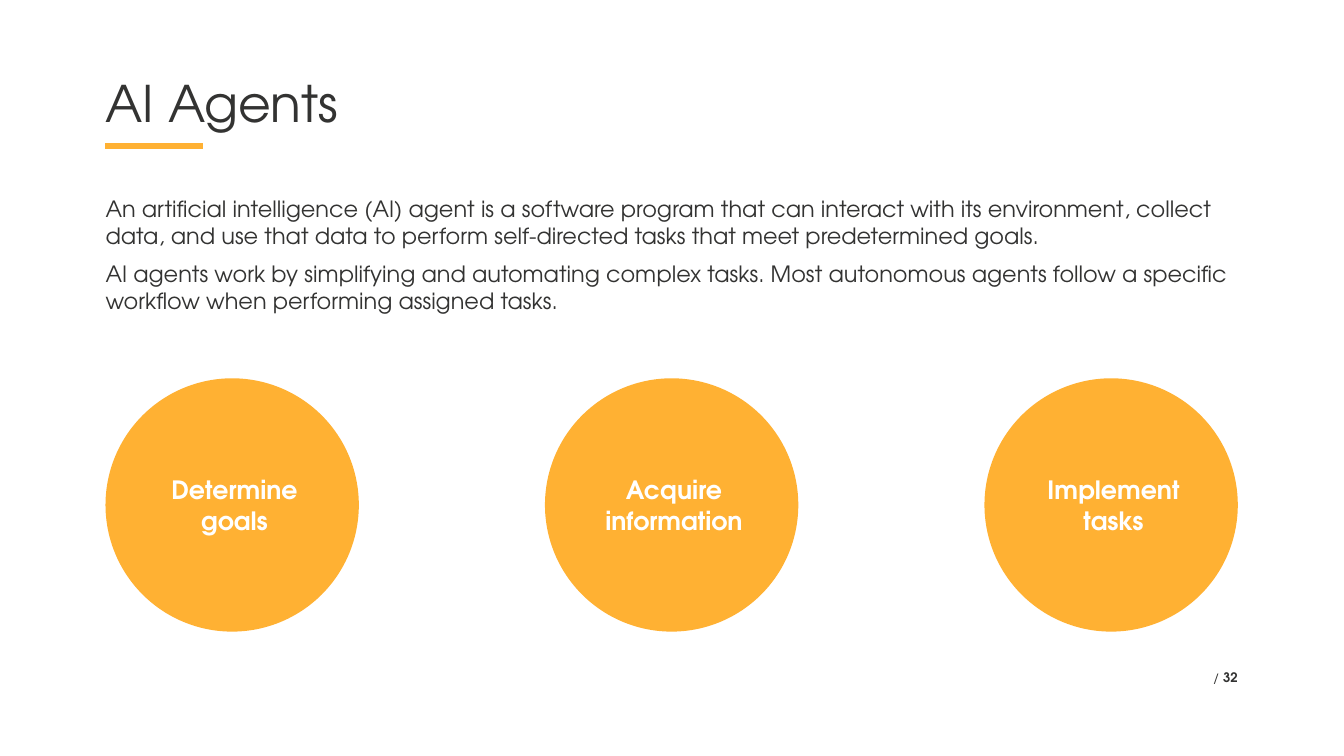
from lxml.etree import SubElement
from pptx import Presentation
from pptx.dml.color import RGBColor as RGB
from pptx.enum.shapes import MSO_CONNECTOR as Conn, MSO_SHAPE as Shape
from pptx.enum.text import MSO_ANCHOR as Anchor, PP_ALIGN as Align
from pptx.oxml.ns import qn
from pptx.util import Inches, Pt

COLORS = {"ink": "333332", "accent": "FFB133", "paper": "FFFFFF"}
FONT = "TeX Gyre Adventor"

# Shares of the slide's size, in percent
LEFT, WIDTH = 7.85, 84.25
RIGHT = LEFT + WIDTH
CIRCLE_W, CIRCLE_H = 18.85, 33.51

STEPS = ["Determine goals", "Acquire information", "Implement tasks"]
BODY = [
    "An artificial intelligence (AI) agent is a software program that can "
    "interact with its environment, collect data, and use that data to "
    "perform self-directed tasks that meet predetermined goals.",
    "AI agents work by simplifying and automating complex tasks. Most "
    "autonomous agents follow a specific workflow when performing assigned "
    "tasks.",
]


class Deck:
    """Holds the style and the current slide; lengths are percent shares."""

    def __init__(self, width, height):
        self.prs = Presentation()
        self.prs.slide_width, self.prs.slide_height = Inches(width), Inches(height)
        self.s = self.prs.slides.add_slide(self.prs.slide_layouts[5])
        fill = self.s.background.fill
        fill.solid()
        fill.fore_color.rgb = RGB.from_string(COLORS["paper"])

    def x(self, share):
        return round(self.prs.slide_width * share / 100)

    def y(self, share):
        return round(self.prs.slide_height * share / 100)

    def box(self, left, top, width, height):
        return self.x(left), self.y(top), self.x(width), self.y(height)

    def fill_text(self, tf, paragraphs, size, color="ink", insets=(0, 0, 0, 0),
                  anchor=Anchor.TOP, **para_format):
        """Each paragraph is a list of (text, bold) runs."""
        sides = ("left", "top", "right", "bottom")
        frame = {f"margin_{k}": Inches(v) for k, v in zip(sides, insets)}
        frame.update(word_wrap=True, vertical_anchor=anchor)
        for name, value in frame.items():
            setattr(tf, name, value)
        for i, runs in enumerate(paragraphs):
            p = tf.paragraphs[0] if i == 0 else tf.add_paragraph()
            for name, value in para_format.items():
                setattr(p, name, value)
            for text, bold in runs:
                r = p.add_run()
                r.text = text
                style = {"name": FONT, "size": Pt(size), "bold": bold}
                for name, value in style.items():
                    setattr(r.font, name, value)
                r.font.color.rgb = RGB.from_string(COLORS[color])

    def title(self, text, box, size):
        sp = self.s.shapes.title
        sp.left, sp.top, sp.width, sp.height = self.box(*box)
        self.fill_text(sp.text_frame, [[(text, False)]], size,
                       alignment=Align.LEFT, line_spacing=0.9)

    def text(self, paragraphs, box, size, **para_format):
        sp = self.s.shapes.add_textbox(*self.box(*box))
        self.fill_text(sp.text_frame, paragraphs, size, **para_format)

    def rule(self, left, top, width, weight):
        line = self.s.shapes.add_connector(
            Conn.STRAIGHT, self.x(left), self.y(top), self.x(left + width), self.y(top))
        line.line.width = Pt(weight)
        line.line.color.rgb = RGB.from_string(COLORS["accent"])
        SubElement(line._element.spPr, qn("a:effectLst"))

    def circle(self, label, box):
        sp = self.s.shapes.add_shape(Shape.OVAL, *self.box(*box))
        sp.shadow.inherit = False
        sp.fill.solid()
        sp.fill.fore_color.rgb = RGB.from_string(COLORS["accent"])
        sp.line.fill.background()
        self.fill_text(sp.text_frame, [[(label, True)]], 27, "paper",
                       (0.31, 0.31, 0.24, 0.31), Anchor.MIDDLE, alignment=Align.CENTER)


def main():
    deck = Deck(20, 11.25)

    # Title with its accent rule
    deck.rule(LEFT, 19.29, 7.25, 6)
    deck.title("AI Agents", (LEFT, 10.49, 65.15, 8.71), 54)

    # Introduction
    deck.text([[(text, False)] for text in BODY], (LEFT, 25.87, WIDTH, 60.89), 24,
              space_after=Pt(12))

    # Steps, spread evenly across the content width
    pitch = (WIDTH - CIRCLE_W) / (len(STEPS) - 1)
    for i, step in enumerate(STEPS):
        deck.circle(step, (LEFT + i * pitch, 50.04, CIRCLE_W, CIRCLE_H))

    # Page number
    deck.text([[("/ ", False), ("32", True)]], (RIGHT - 7.3, 88.53, 7.3, 4.89), 14,
              alignment=Align.RIGHT)

    deck.prs.save("out.pptx")


if __name__ == "__main__":
    main()
